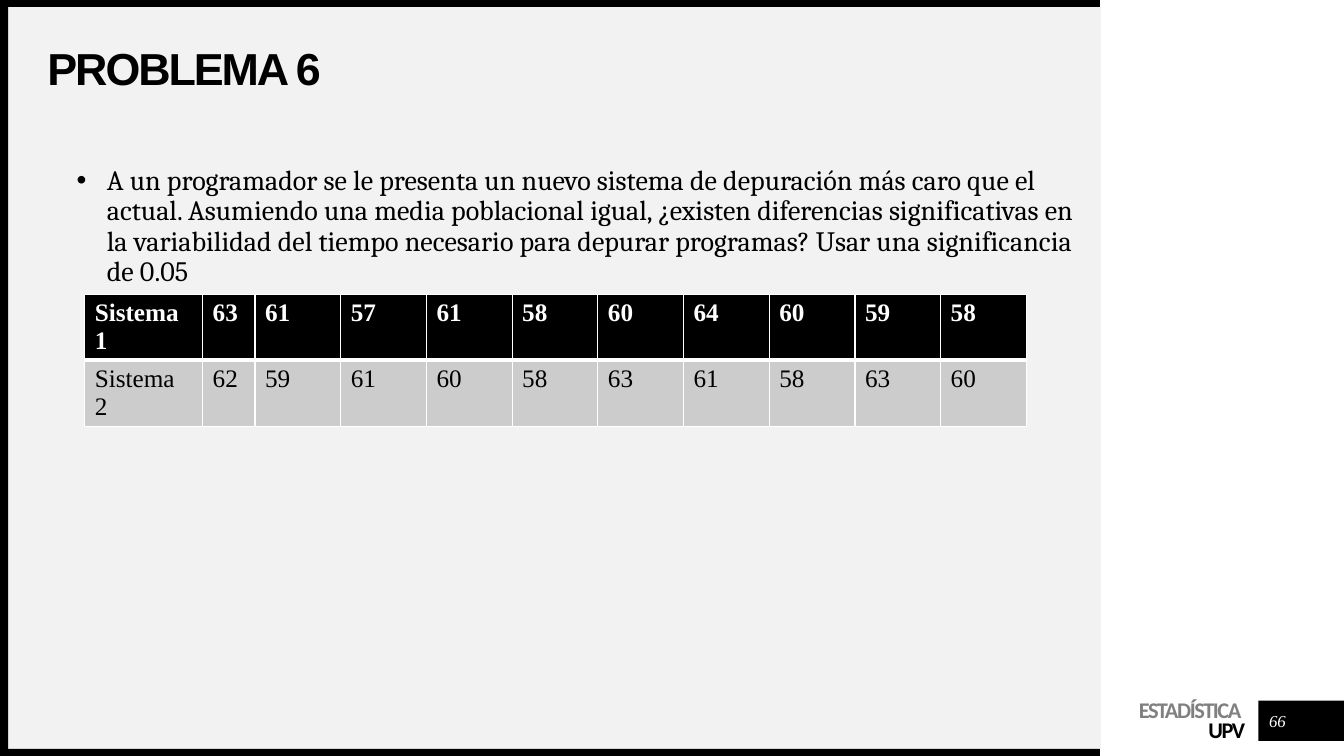
from dataclasses import dataclass

from lxml.etree import SubElement
from pptx import Presentation
from pptx.dml.color import RGBColor as RGB
from pptx.enum.shapes import MSO_SHAPE
from pptx.enum.text import MSO_ANCHOR as ANCHOR, MSO_AUTO_SIZE as AUTO, PP_ALIGN as ALIGN
from pptx.oxml.ns import qn
from pptx.util import Inches, Pt


@dataclass(frozen=True)
class Theme:
    black: str = "000000"
    white: str = "FFFFFF"
    panel: str = "F2F2F2"
    band: str = "CCCCCC"
    gray: str = "808080"
    title_font: str = "Arial"
    body_font: str = "Cambria"
    table_font: str = "Times New Roman"
    brand_font: str = "Calibri"
    title_size: int = 32
    body_size: int = 20
    table_size: int = 18
    brand_size: int = 16
    number_size: int = 12


def write(p, text, *, font, size, color, bold=False, italic=False, spacing=0,
          align=None, line=None):
    """Add a formatted run; spacing is the tracking in points."""
    if align is not None:
        p.alignment = align
    if line is not None:
        p.line_spacing = line
    r = p.add_run()
    r.text = text
    f = r.font
    f.name, f.size, f.bold, f.italic = font, Pt(size), bold, italic
    f.color.rgb = RGB.from_string(color)
    if spacing:
        r._r.get_or_add_rPr().set("spc", str(int(spacing * 100)))


def add_bullet(p, indent, hanging):
    pPr = p._p.get_or_add_pPr()
    pPr.set("marL", str(Inches(indent)))
    pPr.set("indent", str(-Inches(hanging)))
    SubElement(pPr, qn("a:buFont")).set("typeface", "Arial")
    SubElement(pPr, qn("a:buChar")).set("char", "•")


def set_borders(cell, color, bottom):
    tcPr = cell._tc.get_or_add_tcPr()
    for i, (side, width) in enumerate(zip("LRTB", (1, 1, 1, bottom))):
        ln = tcPr.makeelement(qn(f"a:ln{side}"), {"w": str(Pt(width))})
        fill = SubElement(ln, qn("a:solidFill"))
        SubElement(fill, qn("a:srgbClr")).set("val", color)
        tcPr.insert(i, ln)


class SlideBuilder:
    def __init__(self, slide, theme):
        self.slide, self.theme = slide, theme

    def bar(self, x, y, w, h, color):
        s = self.slide.shapes.add_shape(
            MSO_SHAPE.RECTANGLE, Inches(x), Inches(y), Inches(w), Inches(h))
        s.shadow.inherit = False
        s.fill.solid()
        s.fill.fore_color.rgb = RGB.from_string(color)
        s.line.fill.background()

    def frame(self, shape, anchor):
        tf = shape.text_frame
        tf.word_wrap, tf.auto_size, tf.vertical_anchor = True, AUTO.NONE, anchor
        tf.margin_left = tf.margin_top = tf.margin_right = tf.margin_bottom = 0
        return tf

    def textbox(self, x, y, w, h, anchor=ANCHOR.TOP):
        s = self.slide.shapes.add_textbox(Inches(x), Inches(y), Inches(w), Inches(h))
        return self.frame(s, anchor)

    def title(self, text, x, y, w, h):
        t, s = self.theme, self.slide.shapes.title
        s.left, s.top, s.width, s.height = map(Inches, (x, y, w, h))
        tf = self.frame(s, ANCHOR.MIDDLE)
        write(tf.paragraphs[0], text, font=t.title_font, size=t.title_size, color=t.black,
              bold=True, spacing=-1.5, align=ALIGN.LEFT, line=0.9)

    def bullet(self, text, x, y, w, h):
        t = self.theme
        p = self.textbox(x, y, w, h).paragraphs[0]
        add_bullet(p, 0.59, 0.3)
        write(p, text, font=t.body_font, size=t.body_size, color=t.black, line=0.9)

    def brand(self, x, y, w, h):
        t = self.theme
        tf = self.textbox(x, y, w, h)
        tf.margin_top = Inches(0.04)
        for p, text, color in ((tf.paragraphs[0], "ESTADÍSTICA ", t.gray),
                               (tf.add_paragraph(), "UPV", t.black)):
            write(p, text, font=t.brand_font, size=t.brand_size, color=color, bold=True,
                  spacing=-1, align=ALIGN.RIGHT, line=Pt(14))

    def page_number(self, text, x, y, w, h):
        t = self.theme
        tf = self.textbox(x, y, w, h, ANCHOR.MIDDLE)
        write(tf.paragraphs[0], text, font=t.table_font, size=t.number_size,
              color=t.white, italic=True, align=ALIGN.CENTER)

    def table(self, rows, x, y, widths, row_height):
        t = self.theme
        table = self.slide.shapes.add_table(
            len(rows), len(widths), Inches(x), Inches(y),
            Inches(sum(widths)), Inches(row_height * len(rows))).table
        for col, width in zip(table.columns, widths):
            col.width = Inches(width)
        for i, values in enumerate(rows):
            header = i == 0
            for j, value in enumerate(values):
                cell = table.cell(i, j)
                cell.fill.solid()
                cell.fill.fore_color.rgb = RGB.from_string(t.black if header else t.band)
                set_borders(cell, t.white, bottom=3 if header else 1)
                write(cell.text_frame.paragraphs[0], str(value), font=t.table_font,
                      size=t.table_size, color=t.white if header else t.black, bold=header)


def main():
    prs = Presentation()
    prs.slide_width, prs.slide_height = Inches(13.33), Inches(7.5)
    theme = Theme()
    b = SlideBuilder(prs.slides.add_slide(prs.slide_layouts[5]), theme)

    b.bar(0.08, 0.07, 10.84, 7.36, theme.panel)
    b.bar(12.48, 6.95, 0.85, 0.4, theme.black)
    for y in (0, 7.43):
        b.bar(0, y, 10.91, 0.07, theme.black)
    b.bar(0, 0, 0.08, 7.5, theme.black)
    b.brand(10.53, 6.94, 1.82, 0.44)

    # The title placeholder is created first, so bring it above the panel
    title = b.slide.shapes.title
    b.slide.shapes._spTree.append(title._element)
    b.title("PROBLEMA 6", 0.47, 0.47, 10.06, 0.47)
    b.bullet("A un programador se le presenta un nuevo sistema de depuración más caro "
             "que el actual. Asumiendo una media poblacional igual, ¿existen diferencias "
             "significativas en la variabilidad del tiempo necesario para depurar "
             "programas? Usar una significancia de 0.05", 0.47, 1.65, 10.39, 5.12)
    b.page_number("66", 12.52, 7, 0.3, 0.3)
    b.table([["Sistema 1", 63, 61, 57, 61, 58, 60, 64, 60, 59, 58],
             ["Sistema 2", 62, 59, 61, 60, 58, 63, 61, 58, 63, 60]],
            0.84, 2.92, [1.17, 0.52] + [0.85] * 9, 0.65)
    prs.save("out.pptx")


if __name__ == "__main__":
    main()
